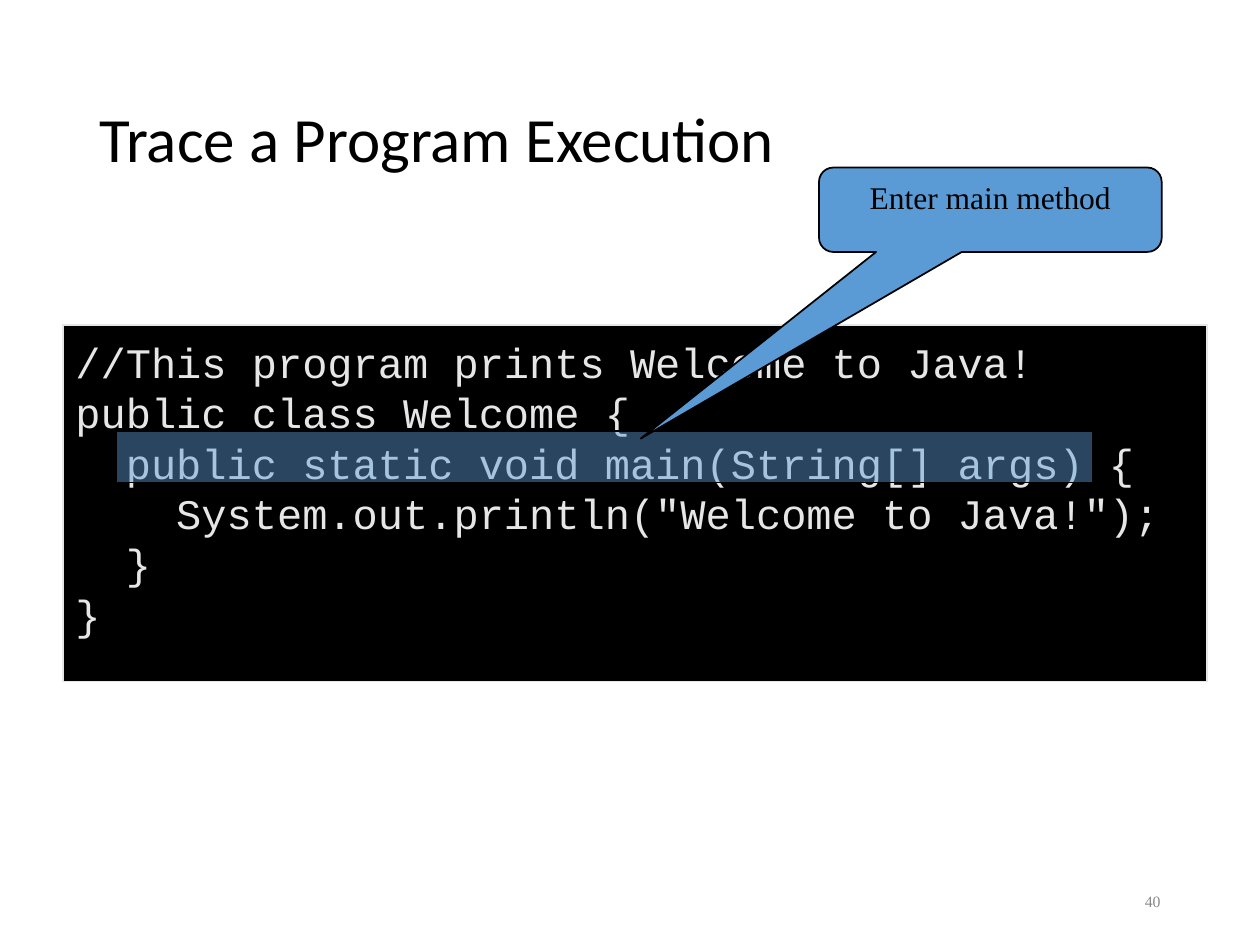
from lxml import etree
from pptx import Presentation
from pptx import util as u
from pptx.dml.color import RGBColor
from pptx.enum import shapes, text
from pptx.oxml.ns import qn

COLORS = {"ink": "000000", "paper": "FFFFFF", "code": "E7E6E6",
          "accent": "5B9BD5", "number": "898989"}
CODE = [
    "//This program prints Welcome to Java!",
    "public class Welcome {",
    "  public static void main(String[] args) {",
    "    System.out.println(\"Welcome to Java!\");",
    "  }",
    "}",
]

presentation = Presentation()
presentation.slide_width, presentation.slide_height = u.Inches(10), u.Inches(7.5)
slide = presentation.slides.add_slide(presentation.slide_layouts[5])
slide.background.fill.solid()
slide.background.fill.fore_color.rgb = RGBColor.from_string(COLORS["paper"])


def add_box(kind, left, top, width, height, fill, line, line_width):
    """Add a flat preset shape, measured in inches, with a fill and an outline."""
    shape = slide.shapes.add_shape(kind, *map(u.Inches, (left, top, width, height)))
    shape.shadow.inherit = False
    shape.fill.solid()
    shape.fill.fore_color.rgb = RGBColor.from_string(COLORS[fill])
    shape.line.color.rgb = RGBColor.from_string(COLORS[line])
    shape.line.width = u.Pt(line_width)
    return shape


def write(shape, lines, font, size, color, align, anchor):
    """Fill a shape with one paragraph per line, all in one style."""
    frame = shape.text_frame
    frame.word_wrap = True
    frame.auto_size = text.MSO_AUTO_SIZE.NONE
    frame.vertical_anchor = anchor
    frame.text = "\n".join(lines)
    for paragraph in frame.paragraphs:
        paragraph.alignment = align
        paragraph.font.name = font
        paragraph.font.size = u.Pt(size)
        paragraph.font.color.rgb = RGBColor.from_string(COLORS[color])
    return frame


ALIGN, ANCHOR = text.PP_ALIGN, text.MSO_ANCHOR

# Title
title = slide.shapes.title
title.left, title.top = u.Inches(0.69), u.Inches(0.4)
title.width, title.height = u.Inches(8.63), u.Inches(1.45)
frame = write(title, ["Trace a Program Execution"], "Calibri", 36, "ink",
              ALIGN.LEFT, ANCHOR.MIDDLE)
frame.paragraphs[0].line_spacing = 0.9

# Slide number
number = slide.shapes.add_textbox(*map(u.Inches, (7.06, 6.95, 2.25, 0.4)))
write(number, ["40"], "Times New Roman", 9, "number", ALIGN.RIGHT, ANCHOR.MIDDLE)

# Code listing
listing = add_box(shapes.MSO_SHAPE.RECTANGLE, 0.5, 2.58, 9.08, 2.83,
                  "ink", "code", 0.75)
frame = write(listing, CODE, "Courier New", 24, "code", ALIGN.LEFT, ANCHOR.TOP)
frame.margin_top = u.Inches(0.09)
for paragraph in frame.paragraphs:
    paragraph.line_spacing = u.Pt(28.8)

# Translucent band over the line being executed
band = add_box(shapes.MSO_SHAPE.RECTANGLE, 0.92, 3.42, 7.75, 0.41,
               "accent", "ink", 1)
band_color = band.fill._xPr.find(qn("a:solidFill"))[0]
etree.SubElement(band_color, qn("a:alpha"), val="45000")

# Callout pointing at the main method
callout = add_box(shapes.MSO_SHAPE.ROUNDED_RECTANGULAR_CALLOUT,
                  6.5, 1.33, 2.72, 0.67, "accent", "ink", 1)
for index, value in enumerate((-1.02, 2.71, 0.17)):
    callout.adjustments[index] = value
write(callout, ["Enter main method"], "Times New Roman", 18, "ink",
      ALIGN.CENTER, ANCHOR.TOP)

presentation.save("out.pptx")
